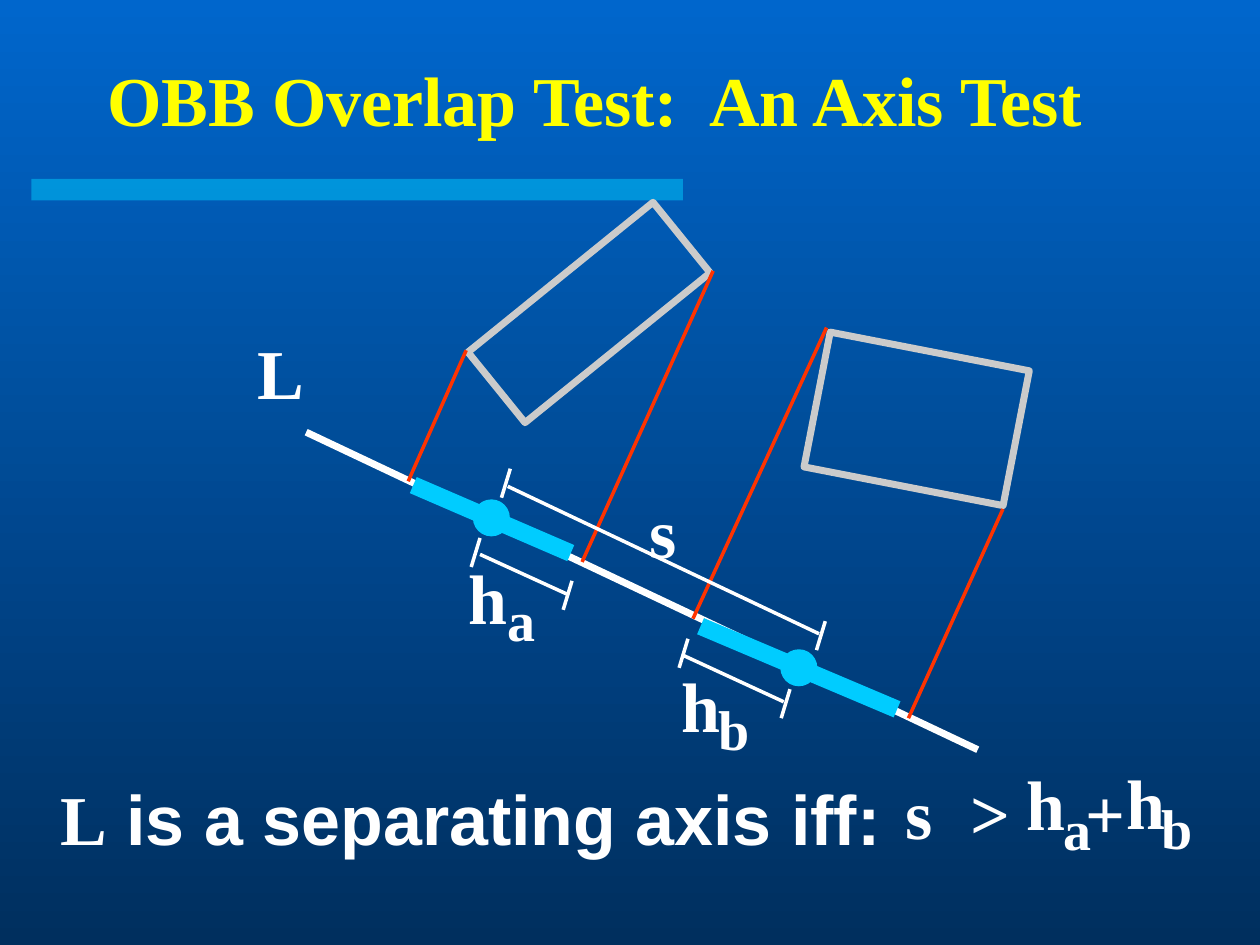
"""Build a slide on the axis test for overlap of two oriented boxes."""
import dataclasses

import pptx
import pptx.dml.color
import pptx.enum.shapes
import pptx.enum.text
import pptx.oxml
import pptx.oxml.ns
import pptx.util
from lxml import etree

Inches = pptx.util.Inches
Pt = pptx.util.Pt
Shape = pptx.enum.shapes.MSO_SHAPE
Text = pptx.enum.text


@dataclasses.dataclass(frozen=True)
class Theme:
    top: str = "0066CC"
    base: str = "002F5E"
    cyan: str = "00CCFF"
    gold: str = "FFFF00"
    gray: str = "CBCBCB"
    red: str = "FF3300"
    white: str = "FFFFFF"
    serif: str = "Times New Roman"
    sans: str = "Arial"
    big: int = 40
    sub: int = 32
    thin: int = 2
    thick: int = 4
    heavy: int = 10


THEME = Theme()

WIDTHS = {"s": 0.41, "h": 0.51, "a": 0.42, "b": 0.45, "+": 0.51, ">": 0.51, "L": 0.57}

LETTERS = [
    ("L", 1.94, 2.57), ("s", 5.06, 3.83),
    ("h", 3.62, 4.35), ("a", 3.93, 4.6),
    ("h", 5.31, 5.21), ("b", 5.6, 5.46),
    ("s", 7.09, 6.06), (">", 7.6, 6.06),
    ("h", 8.05, 5.99), ("a", 8.34, 6.26), ("+", 8.52, 6.06),
    ("h", 8.84, 5.98), ("b", 9.12, 6.25),
]

RAYS = [
    ((3.24, 3.82), (3.7, 2.78)),
    ((4.62, 4.46), (5.66, 2.15)),
    ((5.5, 4.91), (6.56, 2.6)),
    ((7.21, 5.7), (7.96, 4.04)),
]

SPANS = [((3.28, 3.85), (4.53, 4.39)), ((5.56, 4.97), (7.12, 5.63))]

GAUGES = [
    ((4.03, 3.86), (6.5, 5.03), (3.98, 3.95), (6.48, 5.16)),
    ((5.42, 5.2), (6.22, 5.57), (5.39, 5.3), (6.2, 5.7)),
    ((3.81, 4.4), (4.51, 4.72), (3.74, 4.5), (4.47, 4.84)),
]


def tint(value):
    """Turn a hex string into a colour."""
    return pptx.dml.color.RGBColor.from_string(value)


def paint(slide):
    """Fill the background from light at the top to dark at the foot."""
    fill = slide.background.fill
    fill.gradient()
    fill.gradient_angle = 270
    for stop, color in zip(fill.gradient_stops, (THEME.top, THEME.base)):
        stop.color.rgb = tint(color)


def add_form(slide, kind, place, fill=None, line=None, width=1, turn=0):
    """Add a preset shape with an optional fill, outline and turn."""
    form = slide.shapes.add_shape(kind, *map(Inches, place))
    form.shadow.inherit = False
    form.rotation = turn
    for part, color in ((form.fill, fill), (form.line.fill, line)):
        if color:
            part.solid()
            part.fore_color.rgb = tint(color)
        else:
            part.background()
    if line:
        form.line.width = Pt(width)
    return form


def add_bar(slide):
    """Add the half clear bar below the title."""
    bar = add_form(slide, Shape.RECTANGLE, (0.25, 1.42, 5.17, 0.17), THEME.cyan)
    color = bar.fill._xPr.find(".//" + pptx.oxml.ns.qn("a:srgbClr"))
    etree.SubElement(color, pptx.oxml.ns.qn("a:alpha"), val="50000")


def add_line(slide, start, end, color, width):
    """Add a straight line between two points."""
    kind = pptx.enum.shapes.MSO_CONNECTOR.STRAIGHT
    line = slide.shapes.add_connector(kind, *map(Inches, (*start, *end)))
    line.line.color.rgb = tint(color)
    line.line.width = Pt(width)
    etree.SubElement(line._element.spPr, pptx.oxml.ns.qn("a:effectLst"))


def add_gauge(slide, start, end, *feet):
    """Add a measure line with a slanted tick at each end."""
    add_line(slide, start, end, THEME.white, THEME.thin)
    for x, y in feet:
        add_line(slide, (x, y), (x + 0.07, y - 0.23), THEME.white, THEME.thin)


def write(frame, runs, size, color):
    """Write bold centred runs, each a text and its font."""
    para = frame.paragraphs[0]
    para.alignment = Text.PP_ALIGN.CENTER
    for words, face in runs:
        run = para.add_run()
        run.text = words
        style = {"name": face, "size": Pt(size), "bold": True}
        for key, value in style.items():
            setattr(run.font, key, value)
        run.font.color.rgb = tint(color)


def add_title(slide, words):
    """Place and format the title."""
    title = slide.shapes.title
    place = {"left": 0.29, "top": 0.32, "width": 8.86, "height": 0.93}
    for key, value in place.items():
        setattr(title, key, Inches(value))
    title.text_frame.vertical_anchor = Text.MSO_ANCHOR.MIDDLE
    write(title.text_frame, [(words, THEME.serif)], THEME.big, THEME.gold)


def add_label(slide, runs, place, size):
    """Add a text box that grows with its text."""
    frame = slide.shapes.add_textbox(*map(Inches, place)).text_frame
    frame.word_wrap = False
    frame.auto_size = Text.MSO_AUTO_SIZE.SHAPE_TO_FIT_TEXT
    write(frame, runs, size, THEME.white)


def add_letter(slide, sign, left, top):
    """Add one sign of the diagram or formula, with a and b as subscripts."""
    size, height = (THEME.sub, 0.63) if sign in "ab" else (THEME.big, 0.76)
    add_label(slide, [(sign, THEME.serif)], (left, top, WIDTHS[sign], height), size)


def main():
    """Build and save the slide."""
    deck = pptx.Presentation()
    deck.slide_width, deck.slide_height = Inches(10), Inches(7.5)
    slide = deck.slides.add_slide(deck.slide_layouts[5])
    paint(slide)
    add_bar(slide)
    add_title(slide, "OBB Overlap Test:  An Axis Test")
    for place, turn in (((3.73, 2.12, 1.89, 0.72), 321), ((6.47, 2.78, 1.61, 1.09), 11)):
        add_form(slide, Shape.RECTANGLE, place, None, THEME.gray, THEME.thick, turn)
    add_line(slide, (2.43, 3.43), (7.76, 5.95), THEME.white, THEME.thick)
    for ray in RAYS:
        add_line(slide, *ray, THEME.red, THEME.thin)
    for span in SPANS:
        add_line(slide, *span, THEME.cyan, THEME.heavy)
    for left, top in ((3.76, 3.97), (6.2, 5.16)):
        add_form(slide, Shape.OVAL, (left, top, 0.28, 0.28), THEME.cyan, THEME.cyan)
    for gauge in GAUGES:
        add_gauge(slide, *gauge)
    for letter in LETTERS:
        add_letter(slide, *letter)
    claim = [("L", THEME.serif), (" is a separating axis iff:", THEME.sans)]
    add_label(slide, claim, (0.38, 6.11, 6.71, 0.76), THEME.big)
    deck.save("out.pptx")


if __name__ == "__main__":
    main()
